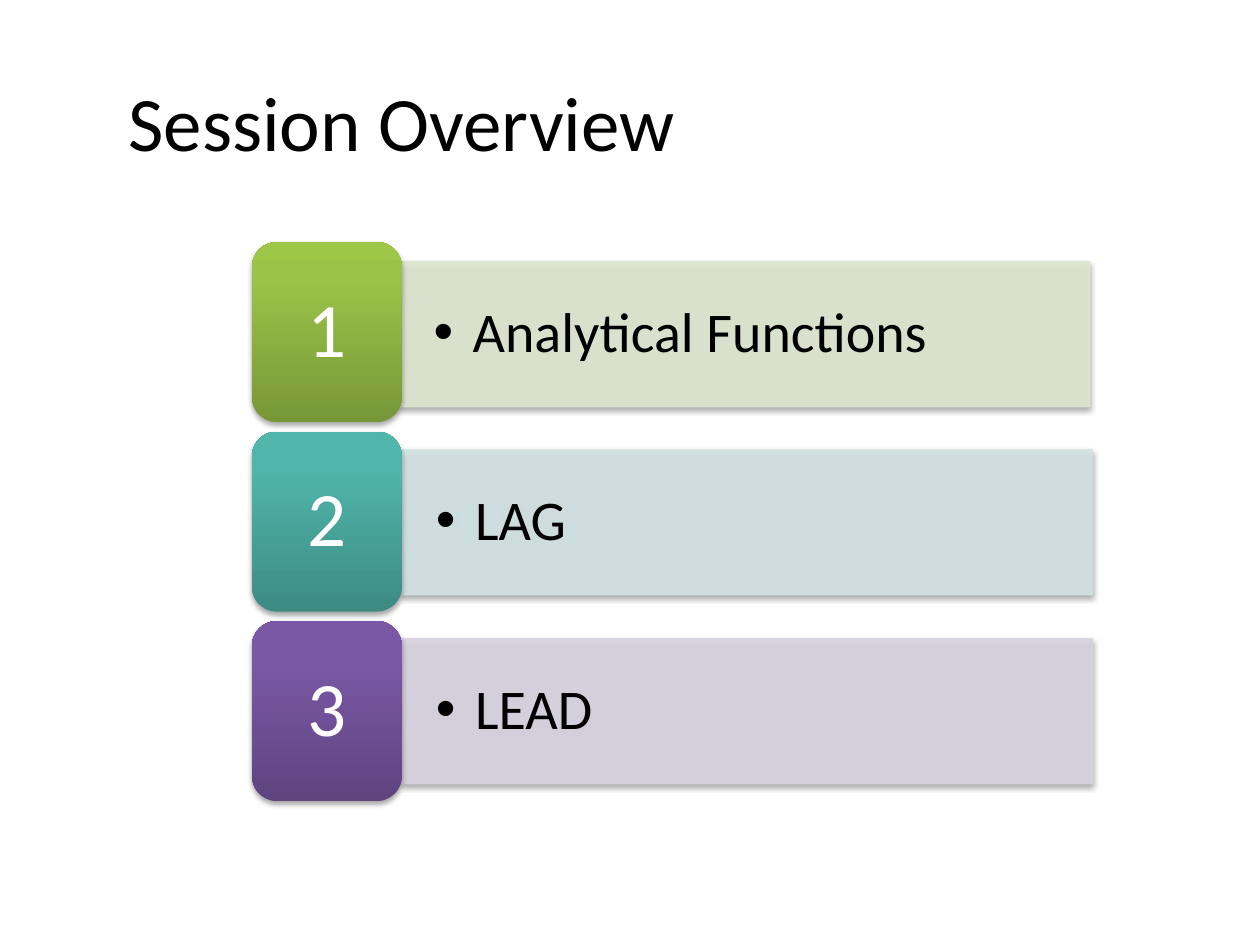
from lxml import etree
from pptx import Presentation, util as u
from pptx.dml.color import RGBColor
from pptx.enum import shapes, text
from pptx.oxml.ns import qn

TITLE = "Session Overview"
# label, bar colour, bar left and top (cm), tile gradient stops from bottom to top
ITEMS = [
    ("Analytical Functions", "DEE7D1", 8.05, 5.28, ("779737", "9BC348", "9DC746")),
    ("LAG", "D2E3E2", 8.1, 9.07, ("3D8B83", "50B5AA", "4EB8AC")),
    ("LEAD", "D8D3E0", 8.1, 12.88, ("5F4480", "7B58A6", "7C57A8")),
]
STOPS = (0, 80, 100)
TILE_LEFT, TILE_TOP, TILE_PITCH = 5.08, 4.88, 3.82
TILE_W, TILE_H = 3.02, 3.63
BAR_W, BAR_H = 13.92, 2.92


def rgb(value):
    return RGBColor.from_string(value)


def sub(parent, tag, **attrs):
    return etree.SubElement(parent, qn(tag), {k: str(v) for k, v in attrs.items()})


def add_text(sp, content, size, color, align, margins):
    tf = sp.text_frame
    tf.word_wrap = True
    tf.vertical_anchor = text.MSO_ANCHOR.MIDDLE
    tf.margin_left = tf.margin_right = u.Cm(margins[0])
    tf.margin_top = tf.margin_bottom = u.Cm(margins[1])
    p = tf.paragraphs[0]
    p.alignment = align
    r = p.add_run()
    r.text = content
    r.font.name, r.font.size = "Calibri", u.Pt(size)
    r.font.color.rgb = rgb(color)
    return p


def add_box(s, kind, left, top, width, height):
    sp = s.shapes.add_shape(kind, u.Cm(left), u.Cm(top), u.Cm(width), u.Cm(height))
    # soft shadow straight below
    sp.shadow.inherit = False
    effects = sp._element.spPr.find(qn("a:effectLst"))
    shadow = sub(effects, "a:outerShdw", blurRad=u.Pt(3.1), dist=u.Pt(1.8),
                 dir=5400000, rotWithShape=0)
    sub(sub(shadow, "a:srgbClr", val="000000"), "a:alpha", val=35000)
    return sp


def add_bar(s, label, color, left, top):
    sp = add_box(s, shapes.MSO_SHAPE.RECTANGLE, left, top, BAR_W, BAR_H)
    sp.fill.solid()
    sp.fill.fore_color.rgb = sp.line.color.rgb = rgb(color)
    sp.line.width = u.Pt(0.75)
    for clr in sp._element.spPr.findall(".//" + qn("a:solidFill") + "/" + qn("a:srgbClr")):
        sub(clr, "a:alpha", val=90000)
    p = add_text(sp, label, 32, "000000", text.PP_ALIGN.LEFT, (0.69, 0.36))
    p.line_spacing = 0.9
    # hanging bullet
    pPr = p._p.get_or_add_pPr()
    pPr.set("marL", str(u.Cm(0.79)))
    pPr.set("indent", str(-u.Cm(0.79)))
    sub(pPr, "a:buFont", typeface="Arial")
    sub(pPr, "a:buChar", char="•")


def add_tile(s, number, top, colors):
    sp = add_box(s, shapes.MSO_SHAPE.ROUNDED_RECTANGLE, TILE_LEFT, top, TILE_W, TILE_H)
    sp.line.fill.background()
    sp.fill.gradient()
    sp.fill.gradient_angle = 90
    stops = sp._element.spPr.find(".//" + qn("a:gsLst"))
    for old in list(stops):
        stops.remove(old)
    for pos, color in zip(STOPS, colors):
        sub(sub(stops, "a:gs", pos=pos * 1000), "a:srgbClr", val=color)
    p = add_text(sp, str(number), 44, "FFFFFF", text.PP_ALIGN.CENTER, (0.46, 0.23))
    p.line_spacing = 0.9


def main():
    prs = Presentation()
    prs.slide_width, prs.slide_height = u.Cm(25.4), u.Cm(19.05)
    s = prs.slides.add_slide(prs.slide_layouts[6])

    # Numbered rows
    for i, (label, color, left, top, colors) in enumerate(ITEMS):
        add_bar(s, label, color, left, top)
        add_tile(s, i + 1, TILE_TOP + i * TILE_PITCH, colors)

    # Title
    title = s.shapes.add_textbox(u.Cm(2.34), u.Cm(0.84), u.Cm(22.43), u.Cm(3.18))
    add_text(title, TITLE, 44, "000000", text.PP_ALIGN.LEFT, (0.25, 0.13))

    prs.save("out.pptx")


if __name__ == "__main__":
    main()
